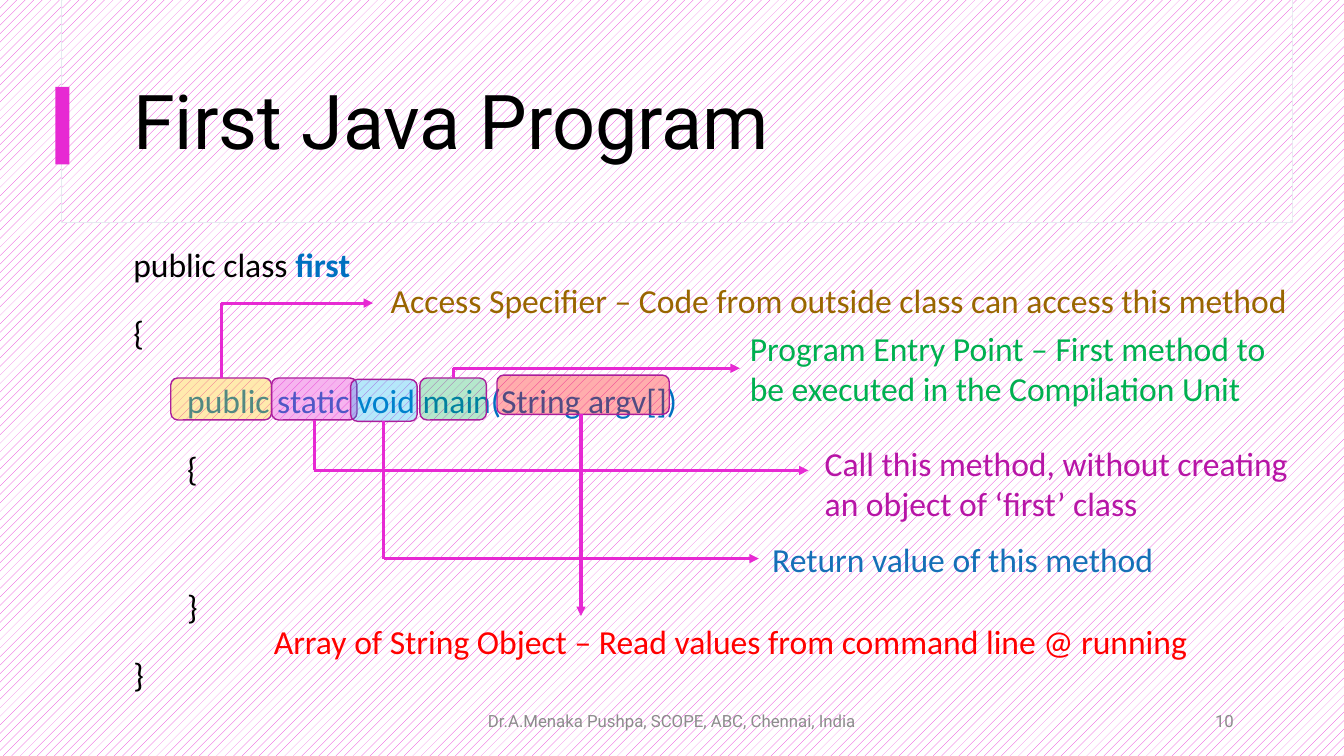
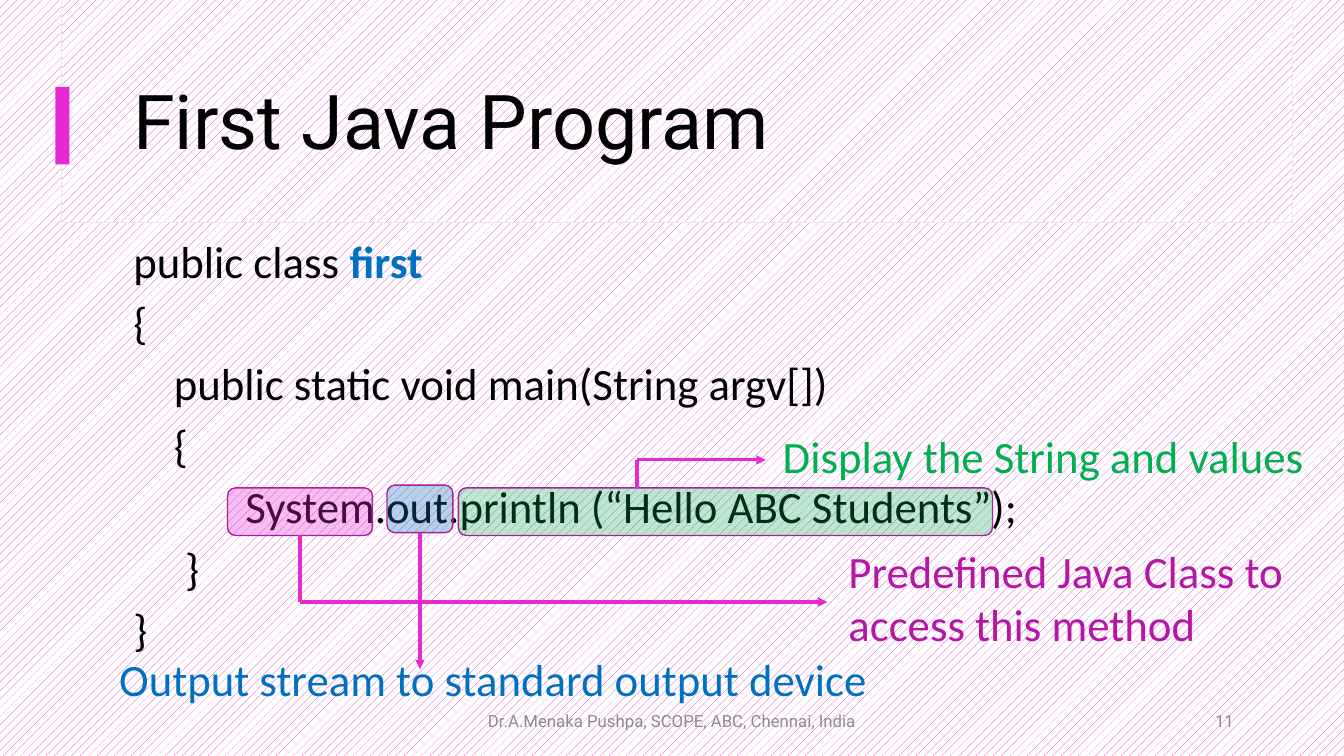
import lxml.etree
import pptx
import pptx.dml.color
import pptx.enum.dml
import pptx.enum.shapes
import pptx.enum.text
import pptx.oxml.ns
import pptx.util

Pt = pptx.util.Pt
qn = pptx.oxml.ns.qn
ALIGN = pptx.enum.text.PP_ALIGN
ANCHOR = pptx.enum.text.MSO_ANCHOR
SHAPE = pptx.enum.shapes.MSO_SHAPE

MAGENTA, PLUM, PURPLE = "E729D3", "AB1E9C", "B715A6"
BLACK, WHITE, GREY, PALE = "000000", "FFFFFF", "8C8C8C", "E5EAF0"
BLUE, SKY, NAVY, GREEN = "0070C0", "00B0F0", "1570B7", "00B050"
RED, AMBER, BROWN = "FF0000", "FFC000", "996600"

HEADER_BOX = (0, 0, 960, 159)
FOOTER_BOX = (318, 500.5, 570.5, 29)
DIAGRAM_BOX = (80, 150, 860, 358)
TITLE = "First Java Program"
FOOTER = "Dr.A.Menaka Pushpa, SCOPE, ABC, Chennai, India"

CLASS_LINE = {"runs": [("public class ", BLACK, False), ("first", BLUE, True)]}


def code_line(text, indent=0, color=BLACK, gap=5.5):
    """Describe a line of code in a single colour."""
    return {"runs": [(text, color, False)], "indent": indent, "gap": gap}


SLIDES = [
    {
        "number": "10",
        "size": 24,
        "spacing": 1.5,
        "code_box": (88, 156, 800, 325),
        "code": [
            CLASS_LINE,
            code_line("{"),
            code_line("public static void main(String argv[])", 38.5, BLUE),
            code_line("{", 38.5),
            code_line("}", 38.5, gap=55),
            code_line("}"),
        ],
        "notes": [
            {"token": (42, 120, 72, 30), "fill": (AMBER, 32), "end": (186.5, 66.5),
             "note": (192, 46.5, 658, 36), "color": BROWN,
             "text": "Access Specifier – Code from outside class can access this method"},
            {"token": (114, 120, 61, 30), "fill": (MAGENTA, 35), "end": (497.5, 186),
             "note": (502, 162.5, 346, 65), "color": PURPLE,
             "text": "Call this method, without creating an object of ‘first’ class"},
            {"token": (220, 120, 47.5, 30), "fill": (GREEN, 29), "end": (448.5, 113),
             "note": (448.5, 80.5, 387, 65), "color": GREEN,
             "text": "Program Entry Point – First method to be executed in the Compilation Unit"},
            {"token": (170.5, 121, 47.5, 30), "fill": (SKY, 29), "end": (462, 249),
             "note": (464.5, 231.5, 360, 36), "color": NAVY,
             "text": "Return value of this method"},
            {"token": (275, 118, 123, 28), "fill": (RED, 32), "stem": 335, "end": (335, 290),
             "note": (108.5, 290, 683, 36), "color": RED,
             "text": "Array of String Object – Read values from command line @ running"},
        ],
    },
    {
        "number": "11",
        "size": 32,
        "spacing": 1.0,
        "code_box": (88, 163, 800, 325),
        "code": [
            CLASS_LINE,
            code_line("{"),
            code_line("public static void main(String argv[])", 29),
            code_line("{", 29),
            code_line("System.out.println (“Hello ABC Students”);", 80),
            code_line("}", 37),
            code_line("}"),
        ],
        "notes": [
            {"token": (247.5, 198.5, 381.5, 34), "fill": (GREEN, 27), "stem": 375,
             "end": (467, 178.5), "note": (472, 153, 394.5, 46), "color": GREEN,
             "text": "Display the String and values"},
            {"token": (82.5, 198.5, 103.5, 34), "fill": (MAGENTA, 30), "end": (511, 280),
             "note": (519, 234.5, 355, 85), "color": PURPLE,
             "text": "Predefined Java Class to access this method"},
            {"token": (196.5, 196.5, 47, 34), "fill": (NAVY, 31), "end": (220, 328),
             "note": (-2, 312, 564, 46), "color": BLUE,
             "text": "Output stream to standard output device"},
        ],
    },
]


def rgb(value):
    """Turn a hex string into a colour."""
    return pptx.dml.color.RGBColor.from_string(value)


def apply_format(target, values):
    """Set each named attribute on the target."""
    for name, value in values.items():
        setattr(target, name, value)


def place(box, part):
    """Return the lengths of a part offset from the corner of its box."""
    left, top, width, height = part
    return [Pt(length) for length in (box[0] + left, box[1] + top, width, height)]


def fill_pattern(fill):
    """Fill with the shared magenta pattern."""
    fill.patterned()
    fill.pattern = pptx.enum.dml.MSO_PATTERN.PERCENT_20
    fill.fore_color.rgb = rgb(MAGENTA)
    fill.back_color.rgb = rgb(WHITE)


def add_run(paragraph, text, font, size, color, bold=False):
    """Add a formatted run to a paragraph."""
    run = paragraph.add_run()
    run.text = text
    apply_format(run.font, {"name": font, "size": Pt(size), "bold": bold})
    run.font.color.rgb = rgb(color)


def add_label(slide, lengths, text, font, size, color, align=ALIGN.LEFT, anchor=ANCHOR.TOP):
    """Add a wrapped text box with one paragraph."""
    frame = slide.shapes.add_textbox(*lengths).text_frame
    apply_format(frame, {"word_wrap": True, "vertical_anchor": anchor})
    frame.paragraphs[0].alignment = align
    add_run(frame.paragraphs[0], text, font, size, color)


def add_box(slide, kind, lengths, line=None, weight=1):
    """Add a preset shape without shadow and with an optional outline."""
    shape = slide.shapes.add_shape(kind, *lengths)
    shape.shadow.inherit = False
    if line:
        shape.line.color.rgb = rgb(line)
        shape.line.width = Pt(weight)
    else:
        shape.line.fill.background()
    return shape


def add_arrow(slide, points):
    """Join the points with straight lines and put a head on the last."""
    segments = [pair for pair in zip(points, points[1:]) if pair[0] != pair[1]]
    for start, end in segments:
        connector = slide.shapes.add_connector(
            pptx.enum.shapes.MSO_CONNECTOR.STRAIGHT, *[Pt(length) for length in start + end])
        connector.line.color.rgb = rgb(MAGENTA)
        connector.line.width = Pt(2.25)
        properties = connector.element.spPr
        if end == points[-1]:
            lxml.etree.SubElement(properties.find(qn("a:ln")), qn("a:tailEnd"), type="triangle")
        lxml.etree.SubElement(properties, qn("a:effectLst"))


def add_header(slide, box, text):
    """Build the patterned panel, the accent bar and the title."""
    for part, line in (((44, 0, 879, 159), PALE), ((44.5, 0, 878.5, 158.5), None)):
        fill_pattern(add_box(slide, SHAPE.RECTANGLE, place(box, part), line, 0.75).fill)
    bar = add_box(slide, SHAPE.RECTANGLE, place(box, (39.5, 62, 10, 55.5)))
    bar.fill.solid()
    bar.fill.fore_color.rgb = rgb(MAGENTA)
    title = slide.shapes.title
    slide.shapes.element.append(title.element)
    left, top, width, height = place(box, (88, 43, 800, 93))
    apply_format(title, {"left": left, "top": top, "width": width, "height": height})
    apply_format(title.text_frame, {"vertical_anchor": ANCHOR.MIDDLE, "word_wrap": True})
    paragraph = title.text_frame.paragraphs[0]
    apply_format(paragraph, {"alignment": ALIGN.LEFT, "line_spacing": 0.9})
    add_run(paragraph, text, "Roboto", 54, BLACK)


def add_code(slide, box, lines, size, spacing):
    """Write the program into the body placeholder."""
    body = slide.placeholders[1]
    slide.shapes.element.append(body.element)
    left, top, width, height = place(box, (0, 0, box[2], box[3]))
    apply_format(body, {"left": left, "top": top, "width": width, "height": height})
    frame = body.text_frame
    apply_format(frame, {"auto_size": pptx.enum.text.MSO_AUTO_SIZE.NONE,
                         "vertical_anchor": ANCHOR.TOP, "word_wrap": True})
    for index, line in enumerate(lines):
        paragraph = frame.add_paragraph() if index else frame.paragraphs[0]
        apply_format(paragraph, {"line_spacing": spacing, "space_after": Pt(0),
                                 "space_before": Pt(line.get("gap", 5.5))})
        properties = paragraph._p.get_or_add_pPr()
        properties.set("marL", str(Pt(line.get("indent", 0))))
        properties.set("indent", "0")
        lxml.etree.SubElement(properties, qn("a:buNone"))
        for text, color, bold in line["runs"]:
            add_run(paragraph, text, "Calibri", size, color, bold)


def add_note(slide, box, note, size):
    """Mark a token of the code and point from it to its explanation."""
    left, top, width, height = note["token"]
    color, opacity = note["fill"]
    token = add_box(slide, SHAPE.ROUNDED_RECTANGLE, place(box, note["token"]), PLUM)
    token.fill.solid()
    token.fill.fore_color.rgb = rgb(color)
    tint = token.element.spPr.find(qn("a:solidFill")).find(qn("a:srgbClr"))
    lxml.etree.SubElement(tint, qn("a:alpha"), val=str(opacity * 1000))
    end_x, end_y = note["end"]
    stem = note.get("stem", left + width / 2)
    edge = top if end_y < top else top + height
    points = [(stem, edge), (stem, end_y), (end_x, end_y)]
    add_arrow(slide, [(box[0] + x, box[1] + y) for x, y in points])
    add_label(slide, place(box, note["note"]), note["text"], "Calibri", size, note["color"])


def add_footer(slide, box, number):
    """Write the centred footer and the slide number."""
    for part, text, align in (((0, 0, 324, box[3]), FOOTER, ALIGN.CENTER),
                              ((box[2] - 216, 0, 216, box[3]), number, ALIGN.RIGHT)):
        add_label(slide, place(box, part), text, "Roboto", 12, GREY, align, ANCHOR.MIDDLE)


def add_program_slide(presentation, content):
    """Build one slide of annotated code."""
    slide = presentation.slides.add_slide(presentation.slide_layouts[1])
    add_header(slide, HEADER_BOX, TITLE)
    add_code(slide, content["code_box"], content["code"], content["size"], content["spacing"])
    add_footer(slide, FOOTER_BOX, content["number"])
    for note in content["notes"]:
        add_note(slide, DIAGRAM_BOX, note, content["size"])


def main():
    """Build and save the presentation."""
    presentation = pptx.Presentation()
    apply_format(presentation, {"slide_width": Pt(960), "slide_height": Pt(540)})
    fill_pattern(presentation.slide_master.background.fill)
    for content in SLIDES:
        add_program_slide(presentation, content)
    presentation.save("out.pptx")


if __name__ == "__main__":
    main()
